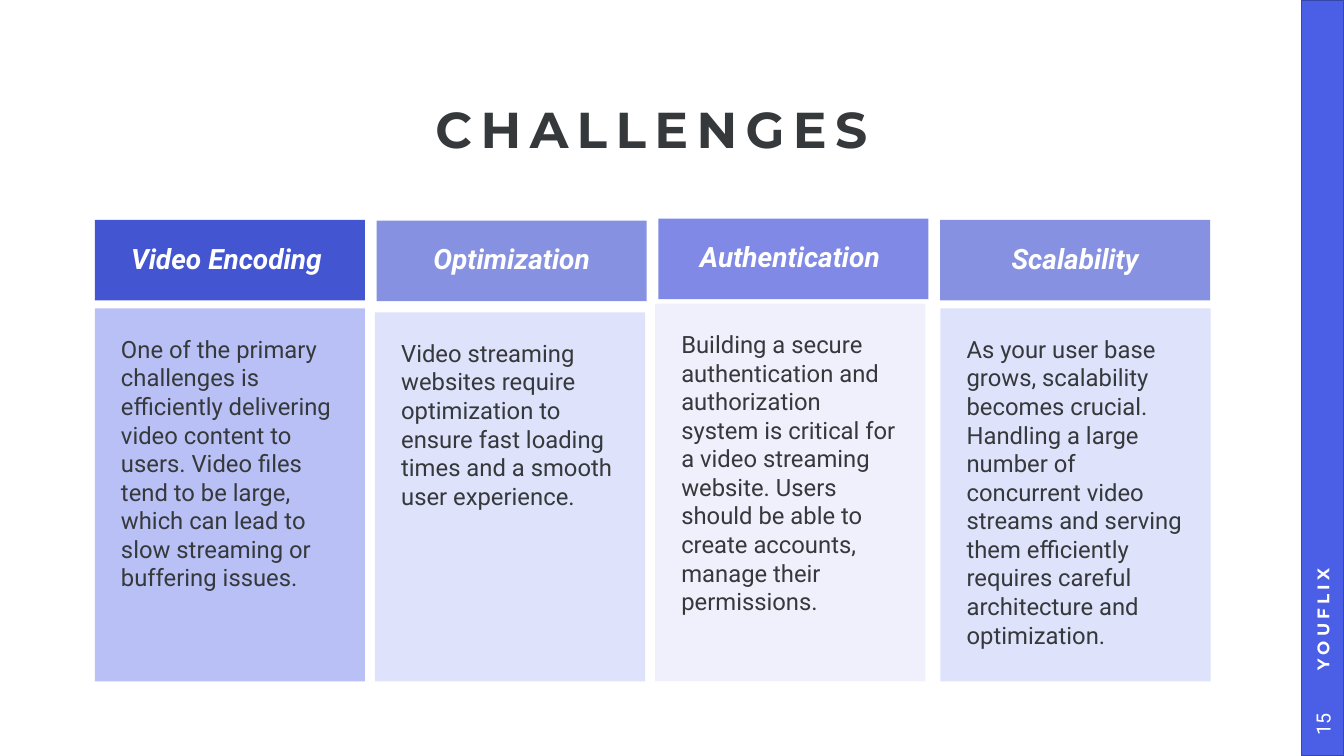
from dataclasses import dataclass

from pptx import Presentation
from pptx.dml.color import RGBColor
from pptx.enum.shapes import MSO_SHAPE
from pptx.enum.text import MSO_ANCHOR, PP_ALIGN
from pptx.oxml.ns import qn
from pptx.shapes.autoshape import Shape
from pptx.slide import Slide
from pptx.util import Cm, Pt

RECT = MSO_SHAPE.RECTANGLE
TOP, MIDDLE = MSO_ANCHOR.TOP, MSO_ANCHOR.MIDDLE
LEFT, CENTER = PP_ALIGN.LEFT, PP_ALIGN.CENTER


@dataclass(frozen=True)
class Theme:
    ink: str = "36393B"
    white: str = "FFFFFF"
    bar: str = "4A5EE6"
    edge: str = "3746AA"
    head_font: str = "Montserrat"
    body_font: str = "Roboto"
    title: int = 36
    head: int = 20
    body: int = 17
    page: int = 14
    brand: int = 12


@dataclass(frozen=True)
class Box:
    left: float
    top: float
    width: float
    height: float


@dataclass(frozen=True)
class Fill:
    color: str
    alpha: int = 100


@dataclass(frozen=True)
class Style:
    font: str
    size: int
    color: str
    bold: bool = False
    italic: bool = False
    track: int = 0
    align: PP_ALIGN = LEFT
    anchor: MSO_ANCHOR = MIDDLE
    line: float = 1.0


@dataclass(frozen=True)
class Card:
    head: str
    text: str
    head_fill: Fill
    body_fill: Fill
    head_top: float
    body_top: float
    shift: float


THEME = Theme()
WIDTH, HEIGHT = 33.87, 19.05
BAR = 1.07
CARD_LEFT, CARD_STEP, CARD_WIDTH = 2.39, 7.1, 6.81
HEAD_HEIGHT, CARD_BASE = 2.03, 17.17
HEAD_PAD, BODY_PAD = 0.53, 0.66

TITLE = Style(THEME.head_font, THEME.title, THEME.ink, bold=True, track=6,
              align=CENTER, line=0.9)
HEAD = Style(THEME.body_font, THEME.head, THEME.white, bold=True, italic=True,
             align=CENTER, line=0.9)
BODY = Style(THEME.body_font, THEME.body, THEME.ink, anchor=TOP)
BRAND = Style(THEME.head_font, THEME.brand, THEME.white, bold=True, track=3)
PAGE = Style(THEME.body_font, THEME.page, THEME.white, align=CENTER)

DEEP, PALE = Fill("1C32C8", 53), Fill("B7BFF5", 45)
CARDS = [
    Card("Video Encoding ",
         "One of the primary challenges is efficiently delivering video "
         "content to users. Video files tend to be large, which can lead to "
         "slow streaming or buffering issues.",
         Fill("4355D1"), Fill("929EF0", 64), 5.54, 7.77, 0),
    Card("Optimization",
         "Video streaming websites require optimization to ensure fast "
         "loading times and a smooth user experience.",
         DEEP, PALE, 5.56, 7.87, -0.04),
    Card("Authentication ",
         "Building a secure authentication and authorization system is "
         "critical for a video streaming website. Users should be able to "
         "create accounts, manage their permissions.",
         Fill("808AE6"), Fill("DBDFFA", 44), 5.51, 7.65, -0.08),
    Card("Scalability",
         "As your user base grows, scalability becomes crucial. Handling a "
         "large number of concurrent video streams and serving them "
         "efficiently requires careful architecture and optimization.",
         DEEP, PALE, 5.54, 7.77, 0.01),
]


def place(box: Box) -> tuple[Cm, Cm, Cm, Cm]:
    return Cm(box.left), Cm(box.top), Cm(box.width), Cm(box.height)


def add_rect(slide: Slide, box: Box, fill: Fill) -> Shape:
    shape = slide.shapes.add_shape(RECT, *place(box))
    shape.shadow.inherit = False
    shape.fill.solid()
    shape.fill.fore_color.rgb = RGBColor.from_string(fill.color)
    shape.line.fill.background()
    if fill.alpha < 100:
        color = next(shape._element.spPr.iter(qn("a:srgbClr")))
        alpha = color.makeelement(qn("a:alpha"), {"val": str(fill.alpha * 1000)})
        color.append(alpha)
    return shape


def write(shape: Shape, text: str, style: Style,
          pad: tuple[float, float, float, float]) -> None:
    """Set styled text; pad is left, top, right, bottom in cm."""
    frame = shape.text_frame
    frame.text = text
    frame.word_wrap = True
    frame.vertical_anchor = style.anchor
    (frame.margin_left, frame.margin_top,
     frame.margin_right, frame.margin_bottom) = map(Cm, pad)
    para = frame.paragraphs[0]
    para.alignment = style.align
    para.line_spacing = style.line
    run = para.runs[0]
    run.font.name = style.font
    run.font.size = Pt(style.size)
    run.font.bold = style.bold
    run.font.italic = style.italic
    run.font.color.rgb = RGBColor.from_string(style.color)
    if style.track:
        run._r.get_or_add_rPr().set("spc", str(style.track * 100))


def add_side(slide: Slide, text: str, style: Style, base: float, span: float,
             start: float) -> None:
    """Add text that reads upward in the side bar from base."""
    box = Box(WIDTH - (BAR + span) / 2, base - (span + BAR) / 2, span, BAR)
    label = slide.shapes.add_textbox(*place(box))
    label.rotation = 270
    write(label, text, style, (start, 0.13, 0.25, 0.13))


def add_card(slide: Slide, card: Card, left: float) -> None:
    head = Box(left, card.head_top, CARD_WIDTH, HEAD_HEIGHT)
    body = Box(left + card.shift, card.body_top, CARD_WIDTH,
               CARD_BASE - card.body_top)
    write(add_rect(slide, head, card.head_fill), card.head, HEAD,
          (HEAD_PAD,) * 4)
    write(add_rect(slide, body, card.body_fill), card.text, BODY,
          (BODY_PAD,) * 4)


def main() -> None:
    deck = Presentation()
    deck.slide_width, deck.slide_height = Cm(WIDTH), Cm(HEIGHT)
    slide = deck.slides.add_slide(deck.slide_layouts[6])

    bar = add_rect(slide, Box(WIDTH - BAR, 0, BAR, HEIGHT), Fill(THEME.bar))
    bar.line.color.rgb = RGBColor.from_string(THEME.edge)
    bar.line.width = Pt(1)

    for i, card in enumerate(CARDS):
        add_card(slide, card, CARD_LEFT + i * CARD_STEP)

    title = slide.shapes.add_textbox(*place(Box(2.36, 2.44, 28.12, 1.8)))
    write(title, "CHALLENGES", TITLE, (0, 0, 0, 0))
    add_side(slide, "YOUFLIX", BRAND, 17.47, 17.47, 0.58)
    add_side(slide, "15", PAGE, HEIGHT, 1.57, 0.25)
    deck.save("out.pptx")


if __name__ == "__main__":
    main()
